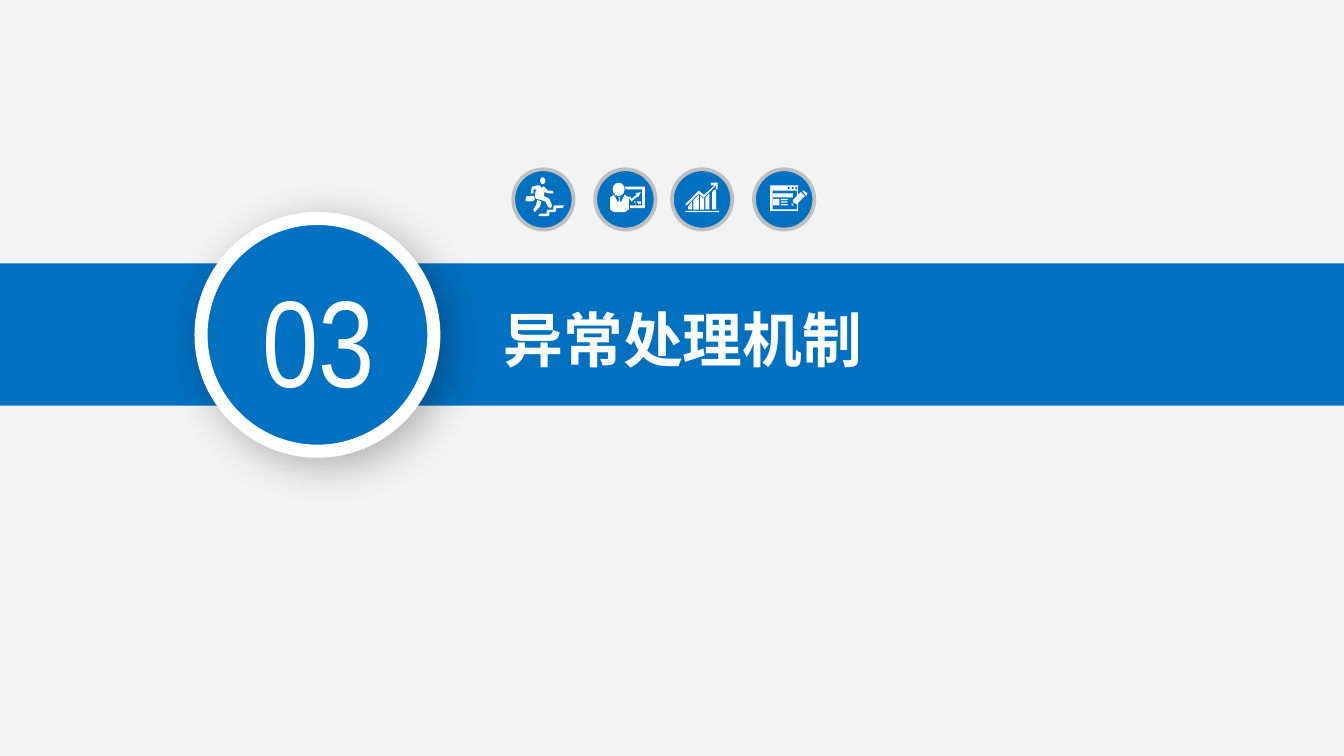
import pptx
import pptx.util
import pptx.dml.color
import pptx.enum.shapes
import pptx.enum.text
import pptx.oxml.ns
import lxml.etree

Cm = pptx.util.Cm
Pt = pptx.util.Pt
RGB = pptx.dml.color.RGBColor
KIND = pptx.enum.shapes.MSO_SHAPE
ALIGN = pptx.enum.text.PP_ALIGN

BLUE = RGB(0x00, 0x70, 0xC0)
WHITE = RGB(0xFF, 0xFF, 0xFF)
GREY = RGB(0xBF, 0xBF, 0xBF)
PAPER = RGB(0xF3, 0xF3, 0xF3)

GRID = 45  # icon units across one badge

# Each icon: outlines (lists of closed contours), ovals and bars (x, y, w, h)
RUNNER = {
    "outlines": [
        [[(20, 33), (25, 33), (25, 31), (26, 30), (30, 30), (30, 28), (31, 27),
          (38, 27), (37, 29), (32, 29), (32, 31), (31, 32), (27, 32), (27, 34),
          (26, 35), (19, 35), (19, 34)]],
        [[(10, 24), (14, 24), (16, 23), (16, 21), (15, 20), (10, 20), (9, 23)]],
        [[(15, 30), (17, 27), (18, 23), (21, 24), (20, 28), (17, 31), (15.5, 31.5)]],
        [[(22, 13), (23, 13), (26, 15.5), (29, 16), (30.5, 17), (30, 18), (26, 18),
          (23, 17), (23, 20), (27, 22), (29, 27), (28, 29), (26, 28), (24, 24),
          (21, 23), (17, 22), (16, 20), (17, 15), (15, 15), (15, 18), (13, 18.5),
          (14, 13), (18, 12), (20, 12), (21, 14)]],
    ],
    "ovals": [(20, 6, 4, 5)],
}
COACH = {
    "outlines": [
        [[(22, 13), (37, 13), (37, 29), (26, 29), (26, 27), (35, 27), (35, 15),
          (23, 15)]],
        [[(25, 21), (26, 20), (27, 22), (31, 19), (30, 18), (34, 17), (32, 21),
          (32, 20), (27, 24)]],
        [[(14, 19), (17, 25), (18, 22), (17, 21), (19, 21), (18, 22), (19, 25),
          (22, 19), (25, 21), (25, 30), (22, 31.5), (14, 31.5), (11, 30), (11, 21)]],
        [[(29, 24), (29.6, 24), (29.6, 26), (30.9, 26), (30.9, 24), (31.5, 24),
          (31, 26.5), (29.5, 26.5)]],
        [[(32, 24), (34, 24), (34, 25.5), (32.8, 25.5), (32.8, 26.5), (32, 26.5)]],
    ],
    "ovals": [(13, 10, 9, 10)],
}
GROWTH = {
    "outlines": [
        [[(12, 30), (12, 28), (15, 24), (15, 30)]],
        [[(16, 30), (16, 23), (19.5, 19), (19.5, 30)]],
        [[(21, 30), (21, 20), (24, 22), (24, 30)]],
        [[(25, 30), (25, 21), (28.5, 18), (28.5, 30)]],
        [[(30, 30), (30, 17), (32, 15), (33, 16), (33, 30)]],
        [[(11, 27), (20, 18), (23, 21), (24, 21), (33, 12), (33, 15), (34.5, 15),
          (34.5, 10), (29, 10), (29, 11.5), (32, 11.5), (23.5, 19), (20, 16),
          (10, 26)]],
    ],
    "bars": [(10, 31, 25, 1)],
}
EDITOR = {
    "outlines": [
        [[(12, 12), (33, 12), (33, 31), (12, 31)],
         [(13.5, 16), (13.5, 29.5), (31.5, 29.5), (31.5, 16)]],
        [[(28, 25), (28, 27), (30, 27)]],
        [[(36, 16), (37, 15.5), (40, 18), (39, 19.5)]],
        [[(35, 17), (38, 20), (32, 26), (29, 25), (29, 23)]],
    ],
    "bars": [(14, 18, 15, 3), (14, 22, 5, 5)] + [(20, y, 5, 1) for y in (22, 24, 26)],
    "dots": [(x, 13.2, 1.6, 1.6) for x in (25, 28, 30.7)],
}


def paint(shape, fill, line=None, width=0):
    shape.shadow.inherit = False
    shape.fill.solid()
    shape.fill.fore_color.rgb = fill
    if line is None:
        shape.line.fill.background()
    else:
        shape.line.color.rgb = line
        shape.line.width = Pt(width)
    return shape


def write(shapes, box, text, style, align=ALIGN.LEFT):
    frame = shapes.add_textbox(*map(Cm, box)).text_frame
    frame.word_wrap = True
    para = frame.paragraphs[0]
    para.alignment = align
    run = para.add_run()
    run.text = text
    run.font.color.rgb = WHITE
    for key, value in style.items():
        setattr(run.font, key, value)
    return frame, run


def badge(slide, left, top, size, icon):
    """A ringed disc with its white icon."""
    shapes = slide.shapes.add_group_shape().shapes
    disc = shapes.add_shape(KIND.OVAL, Cm(left), Cm(top), Cm(size), Cm(size))
    paint(disc, BLUE, GREY, 2)
    unit = size / GRID

    for loops in icon["outlines"]:
        first = loops[0]
        pen = shapes.build_freeform(*first[0], scale=Cm(unit))
        pen.add_line_segments(first[1:])
        for loop in loops[1:]:
            pen.move_to(*loop[0])
            pen.add_line_segments(loop[1:])
        paint(pen.convert_to_shape(Cm(left), Cm(top)), WHITE)

    parts = {"ovals": (KIND.OVAL, WHITE), "bars": (KIND.RECTANGLE, WHITE),
             "dots": (KIND.OVAL, BLUE)}
    for name, (kind, fill) in parts.items():
        for x, y, w, h in icon.get(name, []):
            box = (left + x * unit, top + y * unit, w * unit, h * unit)
            paint(shapes.add_shape(kind, *map(Cm, box)), fill)


def band(slide, left, top, width, height):
    """The full-width bar with the section title."""
    bar = slide.shapes.add_shape(
        KIND.RECTANGLE, Cm(left), Cm(top), Cm(width), Cm(height))
    paint(bar, BLUE)
    font = "Noto Sans CJK SC"
    run = write(slide.shapes, (left + 9.27, top + 0.61, 10, 1.63), "异常处理机制",
                {"size": Pt(32), "name": font, "bold": True})[1]
    face = lxml.etree.SubElement(run.font._element, pptx.oxml.ns.qn("a:ea"))
    face.set("typeface", font)


def number(slide, left, top, size):
    """The large section number in a shadowed disc."""
    shapes = slide.shapes.add_group_shape().shapes
    disc = shapes.add_shape(KIND.OVAL, Cm(left), Cm(top), Cm(size), Cm(size))
    paint(disc, BLUE, WHITE, 7)

    # Soft shadow to the lower right
    qn = pptx.oxml.ns.qn
    list_ = disc._element.spPr.find(qn("a:effectLst"))
    cast = lxml.etree.SubElement(list_, qn("a:outerShdw"), {
        "blurRad": str(Pt(22)), "dist": str(Pt(6)), "dir": "2700000",
        "algn": "tl", "rotWithShape": "0"})
    tone = lxml.etree.SubElement(cast, qn("a:srgbClr"), val="000000")
    lxml.etree.SubElement(tone, qn("a:alpha"), val="28000")

    frame = write(shapes, (left + 0.56, top + 0.76, 3.33, 3.02), "03",
                  {"size": Pt(66), "name": "Arial Narrow"}, ALIGN.CENTER)[0]
    insets = {"margin_left": 0.18, "margin_right": 0.18,
              "margin_top": 0.1, "margin_bottom": 0.1}
    for key, value in insets.items():
        setattr(frame, key, Cm(value))


def main():
    deck = pptx.Presentation()
    deck.slide_width, deck.slide_height = Cm(25.4), Cm(14.29)
    slide = deck.slides.add_slide(deck.slide_layouts[6])
    slide.background.fill.solid()
    slide.background.fill.fore_color.rgb = PAPER

    band(slide, 0, 4.98, 25.4, 2.69)
    for left, icon in ((9.7, RUNNER), (11.25, COACH), (12.7, GROWTH), (14.25, EDITOR)):
        badge(slide, left, 3.2, 1.14, icon)
    number(slide, 3.8, 4.13, 4.4)
    deck.save("out.pptx")


if __name__ == "__main__":
    main()
